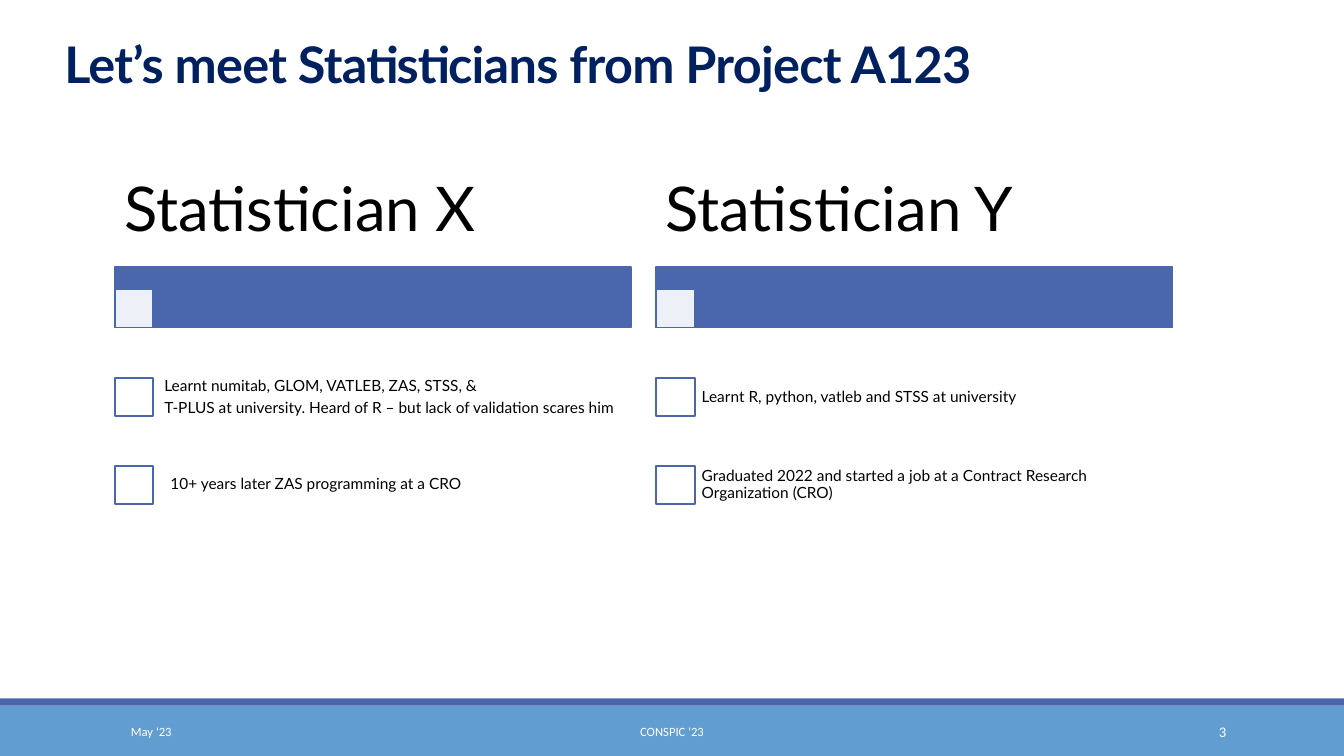
from lxml import etree
from pptx import Presentation
from pptx.dml.color import RGBColor
from pptx.enum.shapes import MSO_SHAPE as SHAPE
from pptx.enum.text import MSO_ANCHOR as ANCHOR, PP_ALIGN as ALIGN
from pptx.oxml.ns import qn
from pptx.util import Pt

SCALE = 9144  # EMU per px, 100 px to the inch
COLORS = {"white": "FFFFFF", "black": "000000", "navy": "002060",
          "indigo": "4A66AC", "sky": "629DD1"}


def rgb(name):
    return RGBColor.from_string(COLORS[name])


class Deck:
    TITLE = {"name": "Lato", "size": Pt(36), "bold": True}
    HEADING = {"name": "Lato", "size": Pt(44)}
    BODY = {"name": "Lato", "size": Pt(11)}
    FOOTER = {"name": "Calibri", "size": Pt(9)}
    NUMBER = {"name": "Calibri", "size": Pt(10.5)}

    def __init__(self, width, height):
        self.prs = Presentation()
        self.prs.slide_width = width * SCALE
        self.prs.slide_height = height * SCALE
        self.s = self.prs.slides.add_slide(self.prs.slide_layouts[6])

    def rect(self, x, y, w, h, fill, line=None, alpha=None):
        sp = self.s.shapes.add_shape(SHAPE.RECTANGLE, *(v * SCALE for v in (x, y, w, h)))
        sp.shadow.inherit = False
        sp.fill.solid()
        sp.fill.fore_color.rgb = rgb(fill)
        if alpha:
            color = sp.fill._xPr.find(qn("a:solidFill"))[0]
            etree.SubElement(color, qn("a:alpha")).set("val", str(alpha * 1000))
        if line:
            sp.line.color.rgb = rgb(line)
            sp.line.width = Pt(1.25)
        else:
            sp.line.fill.background()

    def text(self, x, y, w, h, lines, font, color="black", align=ALIGN.LEFT,
             anchor=ANCHOR.MIDDLE, inset=(10, 5), leading=None, gap=0, tracking=None):
        """Add a text box with one paragraph per line; inset is (sides, top and bottom)."""
        tf = self.s.shapes.add_textbox(*(v * SCALE for v in (x, y, w, h))).text_frame
        tf.word_wrap = True
        tf.vertical_anchor = anchor
        tf.margin_left = tf.margin_right = inset[0] * SCALE
        tf.margin_top = tf.margin_bottom = inset[1] * SCALE
        for i, line in enumerate(lines):
            p = tf.add_paragraph() if i else tf.paragraphs[0]
            p.alignment = align
            p.line_spacing = leading
            if i:
                p.space_before = Pt(gap)
            r = p.add_run()
            r.text = line
            for key, value in font.items():
                setattr(r.font, key, value)
            r.font.color.rgb = rgb(color)
            if tracking:
                r.font._element.set("spc", str(tracking))

    def column(self, x, heading, items):
        """Add a statistician's heading, bar and checklist of (text offset, lines)."""
        self.rect(x, 265, 512, 60, "indigo", "indigo")
        self.rect(x, 287, 38, 38, "white", "indigo", alpha=90)
        self.text(x, 156, 512, 108, [heading], self.HEADING, inset=(9, 6), leading=0.9)
        for row, (offset, lines) in enumerate(items):
            y = 350 + row * 87
            self.rect(x, y + 25, 38, 38, "white", "indigo")
            self.text(x + offset, y, 476, 88, lines, self.BODY,
                      inset=(9, 9), leading=0.9, gap=4)


def main():
    deck = Deck(1333, 750)
    deck.rect(0, 700, 1333, 50, "sky")
    deck.rect(0, 693, 1333, 7, "indigo")
    deck.text(54, -10, 1100, 108, ["Let’s meet Statisticians from Project A123"], deck.TITLE,
              "navy", anchor=ANCHOR.BOTTOM, leading=0.85, tracking=-50)

    footers = [
        (120, 270, "May '23", deck.FOOTER, ALIGN.LEFT),
        (403, 527, "CONSPIC '23", deck.FOOTER, ALIGN.CENTER),
        (1083, 143, "3", deck.NUMBER, ALIGN.RIGHT),
    ]
    for x, w, line, font, align in footers:
        deck.text(x, 706, w, 40, [line], font, "white", align)

    deck.column(114, "Statistician X", [
        (40, ["Learnt numitab, GLOM, VATLEB, ZAS, STSS, &",
              "T-PLUS at university. Heard of R – but lack of validation scares him"]),
        (46, ["10+ years later ZAS programming at a CRO"]),
    ])
    deck.column(651, "Statistician Y", [
        (36, ["Learnt R, python, vatleb and STSS at university"]),
        (36, ["Graduated 2022 and started a job at a Contract Research Organization (CRO)"]),
    ])
    deck.prs.save("out.pptx")


if __name__ == "__main__":
    main()
